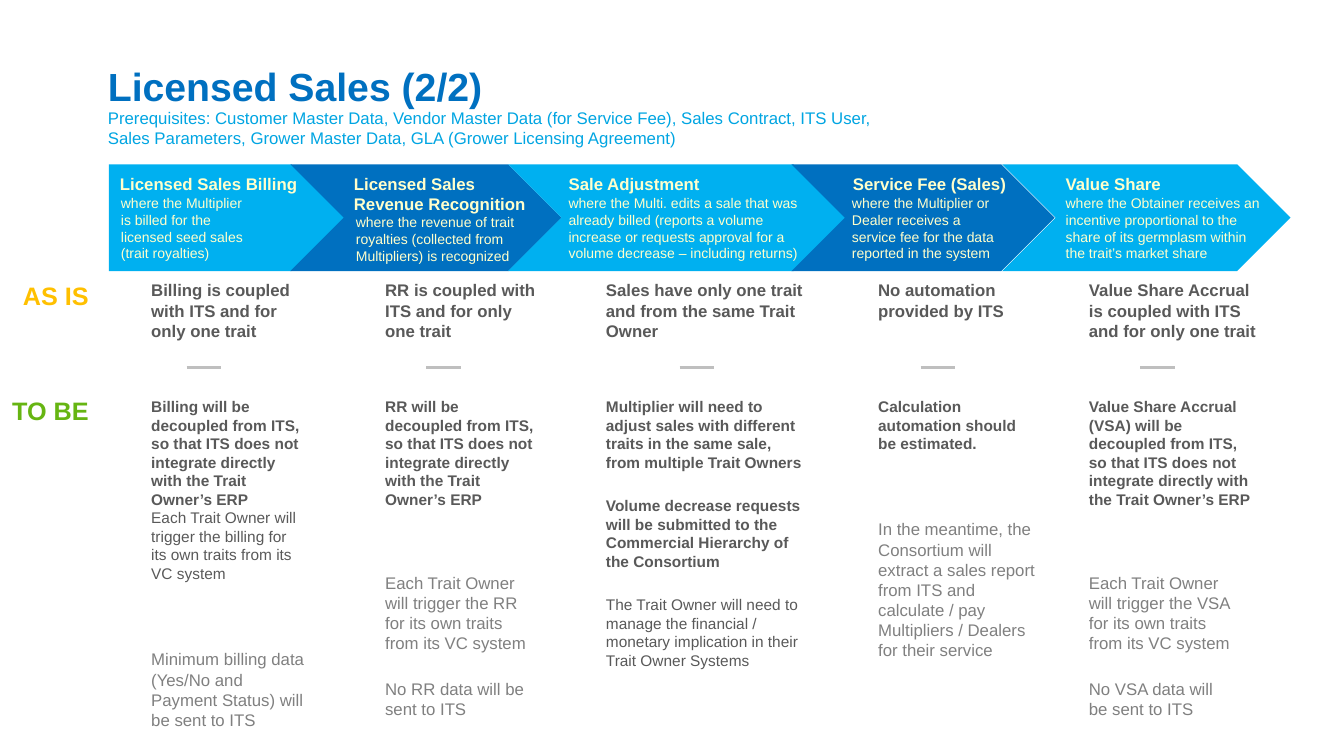
from dataclasses import dataclass

from lxml import etree
from pptx import Presentation
from pptx.dml.color import RGBColor
from pptx.enum.shapes import MSO_CONNECTOR, MSO_SHAPE
from pptx.enum.text import MSO_ANCHOR, MSO_AUTO_SIZE, PP_ALIGN
from pptx.oxml.ns import qn
from pptx.util import Emu, Pt

LEFT, RIGHT = PP_ALIGN.LEFT, PP_ALIGN.RIGHT
TOP, BOTTOM = MSO_ANCHOR.TOP, MSO_ANCHOR.BOTTOM
FIXED_SIZE = MSO_AUTO_SIZE.NONE
STRAIGHT = MSO_CONNECTOR.STRAIGHT
PENTAGON, CHEVRON = MSO_SHAPE.PENTAGON, MSO_SHAPE.CHEVRON
EMU_PER_PX = 9144


@dataclass(frozen=True)
class Theme:
    font: str = "Arial"
    title: str = "0070C0"
    subtitle: str = "00A5E2"
    arrows: tuple = ("00B0F0", "0070C0")
    on_arrow: str = "FFFFCC"
    as_is: str = "FFC000"
    to_be: str = "66B512"
    body: str = "595959"
    later: str = "808080"
    dash: str = "BFBFBF"
    title_size: int = 28
    label_size: int = 18
    text_size: int = 12
    change_size: int = 11
    detail_size: int = 10
    dash_width: float = 2.25
    paragraph_gap: int = 18


@dataclass(frozen=True)
class Stage:
    arrow: tuple
    heading: str
    heading_span: tuple
    detail: str
    detail_span: tuple
    column: tuple
    dash_indent: int
    as_is: str
    to_be: tuple
    detail_top: int = 30
    later: tuple = ()
    later_top: int = 0
    later_width: int = 0


THEME = Theme()

STAGES = [
    Stage(
        (108, 234), "Licensed Sales Billing", (119, 177),
        "where the Multiplier\nis billed for the licensed seed sales (trait royalties)", (120, 130),
        (150, 154), 35, "Billing is coupled with ITS and for only one trait",
        ((("Billing will be decoupled from ITS, so that ITS does not integrate directly "
           "with the Trait Owner’s ERP\n", True),
          ("Each Trait Owner will trigger the billing for its own traits from its VC system", False)),),
        later=("Minimum billing data (Yes/No and Payment Status) will be sent to ITS",),
        later_top=366, later_width=154),
    Stage(
        (288, 269), "Licensed Sales Revenue Recognition", (351, 185),
        "where the revenue of trait royalties (collected from Multipliers) is recognized", (353, 161),
        (382, 154), 41, "RR is coupled with ITS and for only one trait",
        ("RR will be decoupled from ITS, so that ITS does not integrate directly "
         "with the Trait Owner’s ERP",),
        detail_top=49,
        later=("Each Trait Owner will trigger the RR for its own traits from its VC system",
               "No RR data will be sent to ITS"),
        later_top=290, later_width=143),
    Stage(
        (504, 336), "Sale Adjustment", (564, 149),
        "where the Multi. edits a sale that was already billed (reports a volume increase or "
        "requests approval for a volume decrease – including returns)", (564, 230),
        (601, 197), 73, "Sales have only one trait and from the same Trait Owner",
        ("Multiplier will need to adjust sales with different traits in the same sale, "
         "from multiple Trait Owners",
         "Volume decrease requests will be submitted to the Commercial Hierarchy of the Consortium",
         (("The Trait Owner will need to manage the financial / monetary implication "
           "in their Trait Owner Systems", False),))),
    Stage(
        (785, 261), "Service Fee (Sales)", (846, 182),
        "where the Multiplier or Dealer receives a service fee for the data reported in the system",
        (845, 149), (871, 146), 42, "No automation provided by ITS",
        ("Calculation automation should be estimated.",),
        later=("In the meantime, the Consortium will extract a sales report from ITS and "
               "calculate / pay Multipliers / Dealers for their service",),
        later_top=237, later_width=165),
    Stage(
        (994, 286), "Value Share", (1057, 143),
        "where the Obtainer receives an incentive proportional to the share of its germplasm "
        "within the trait’s market share", (1057, 196),
        (1080, 169), 51, "Value Share Accrual is coupled with ITS and for only one trait",
        ("Value Share Accrual (VSA) will be decoupled from ITS, so that ITS does not "
         "integrate directly with the Trait Owner’s ERP",),
        later=("Each Trait Owner will trigger the VSA for its own traits from its VC system",
               "No VSA data will be sent to ITS"),
        later_top=290, later_width=143),
]


def px(value):
    return Emu(value * EMU_PER_PX)


def add_run(paragraph, text, size, color, bold):
    for index, line in enumerate(text.split("\n")):
        if index:
            paragraph.add_line_break()
        if line:
            run = paragraph.add_run()
            run.text = line
            run.font.name = THEME.font
            run.font.size = Pt(size)
            run.font.bold = bold
            run.font.color.rgb = RGBColor.from_string(color)


def put_text(slide, box, *paragraphs, size=THEME.text_size, color=THEME.body, bold=False,
             align=LEFT, anchor=TOP, placeholder=None):
    shape = placeholder or slide.shapes.add_textbox(0, 0, 0, 0)
    shape.left, shape.top, shape.width, shape.height = map(px, box)
    frame = shape.text_frame
    frame.word_wrap = True
    frame.auto_size = FIXED_SIZE
    frame.vertical_anchor = anchor
    frame.margin_left = frame.margin_top = frame.margin_right = frame.margin_bottom = 0
    for index, content in enumerate(paragraphs):
        paragraph = frame.add_paragraph() if index else frame.paragraphs[0]
        paragraph.alignment = align
        paragraph.space_before = Pt(THEME.paragraph_gap if index else 0)
        runs = ((content, bold),) if isinstance(content, str) else content
        for text, run_bold in runs:
            add_run(paragraph, text, size, color, run_bold)


def draw_header(slide, box):
    left, top, width, height = box
    put_text(slide, (left, top, width, 94), "Licensed Sales (2/2)", size=THEME.title_size,
             color=THEME.title, bold=True, anchor=BOTTOM, placeholder=slide.shapes.title)
    put_text(slide, (left, top + 92, 760, height - 92),
             "Prerequisites: Customer Master Data, Vendor Master Data (for Service Fee), Sales Contract, "
             "ITS User, Sales Parameters, Grower Master Data, GLA (Grower Licensing Agreement)",
             color=THEME.subtitle, placeholder=slide.placeholders[1])


def draw_arrow(slide, box, stage, preset, fill):
    top, height = box[1], box[3]
    arrow = slide.shapes.add_shape(preset, *map(px, box))
    arrow.shadow.inherit = False
    arrow.fill.solid()
    arrow.fill.fore_color.rgb = RGBColor.from_string(fill)
    arrow.line.fill.background()
    left, width = stage.heading_span
    put_text(slide, (left, top + 9, width, 28), stage.heading, color=THEME.on_arrow, bold=True)
    left, width = stage.detail_span
    put_text(slide, (left, top + stage.detail_top, width, height - stage.detail_top), stage.detail,
             size=THEME.detail_size, color=THEME.on_arrow)


def draw_dash(slide, left, top, width):
    dash = slide.shapes.add_connector(STRAIGHT, px(left), px(top), px(left + width), px(top))
    dash.line.color.rgb = RGBColor.from_string(THEME.dash)
    dash.line.width = Pt(THEME.dash_width)
    etree.SubElement(dash._element.spPr, qn("a:effectLst"))


def draw_column(slide, box, stage):
    left, top, width, height = box
    put_text(slide, (left, top, width, 66), stage.as_is, bold=True)
    draw_dash(slide, left + stage.dash_indent, top + 87, 34)
    put_text(slide, (left, top + 116, width, 55), *stage.to_be, size=THEME.change_size, bold=True)
    if stage.later:
        put_text(slide, (left, top + stage.later_top, stage.later_width, height - stage.later_top),
                 *stage.later, color=THEME.later)


def draw_row_labels(slide, box):
    left, top, width, height = box
    rows = (("AS IS", THEME.as_is, 0), ("TO BE", THEME.to_be, 114))
    for text, color, offset in rows:
        put_text(slide, (left, top + offset, width, 28), text, size=THEME.label_size,
                 color=color, bold=True, align=RIGHT)


def main():
    presentation = Presentation()
    presentation.slide_width, presentation.slide_height = px(1333), px(750)
    slide = presentation.slides.add_slide(presentation.slide_layouts[0])
    draw_header(slide, (107, 15, 1181, 120))
    for index, stage in enumerate(STAGES):
        arrow_left, arrow_width = stage.arrow
        column_left, column_width = stage.column
        draw_arrow(slide, (arrow_left, 163, arrow_width, 106), stage,
                   CHEVRON if index else PENTAGON, THEME.arrows[index % 2])
        draw_column(slide, (column_left, 278, column_width, 450), stage)
    draw_row_labels(slide, (3, 278, 85, 142))
    presentation.save("out.pptx")


if __name__ == "__main__":
    main()
